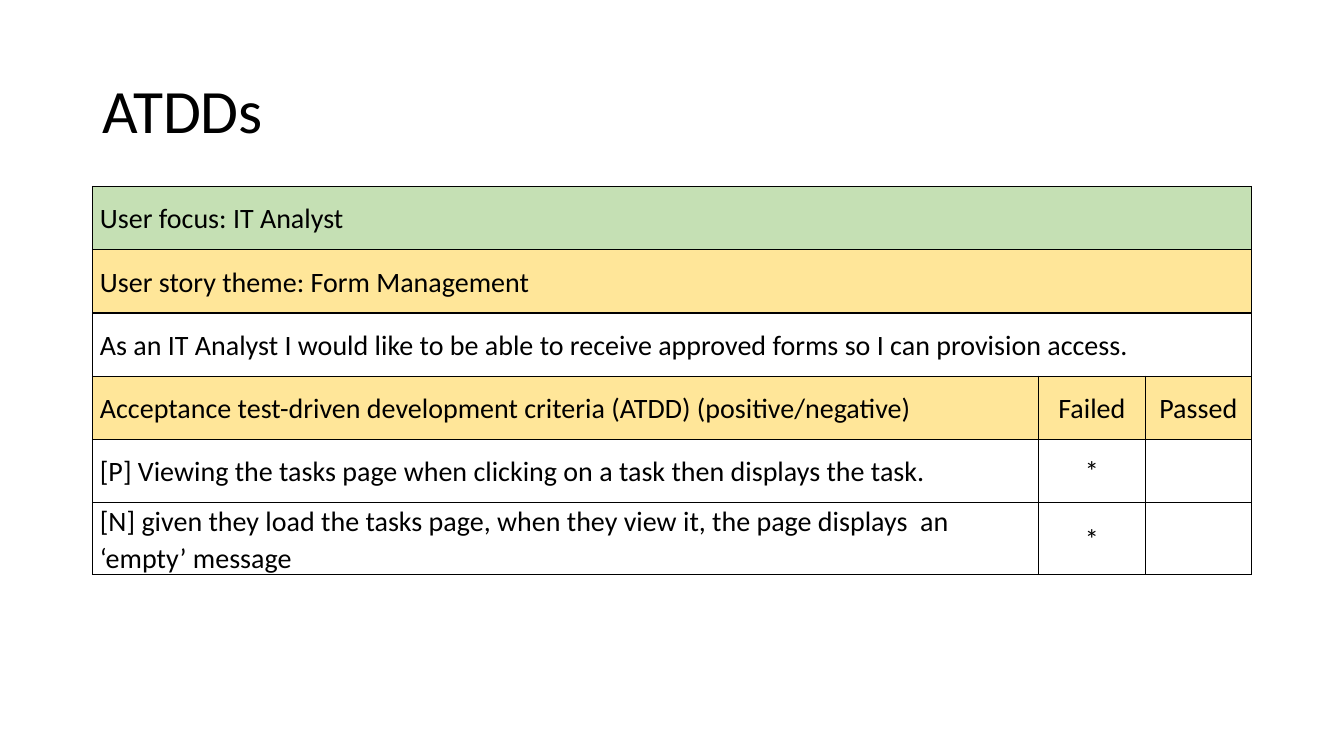
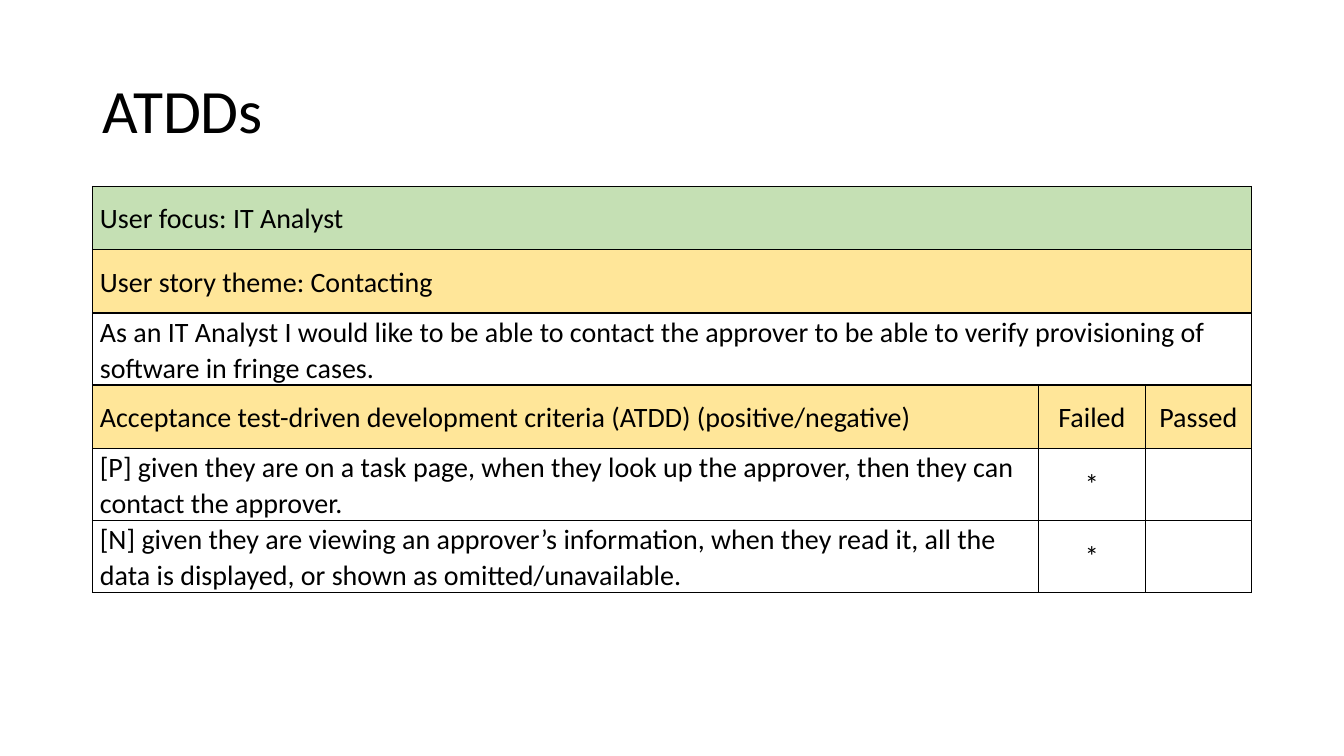
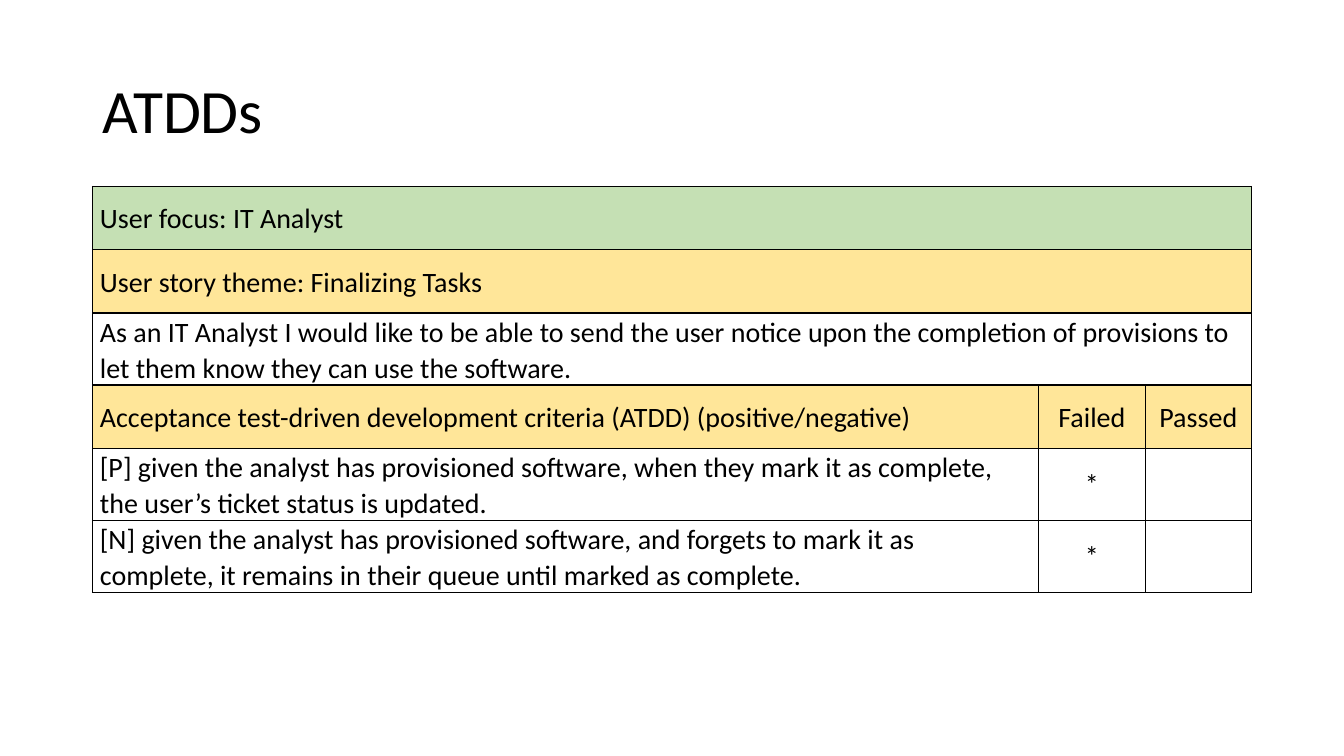
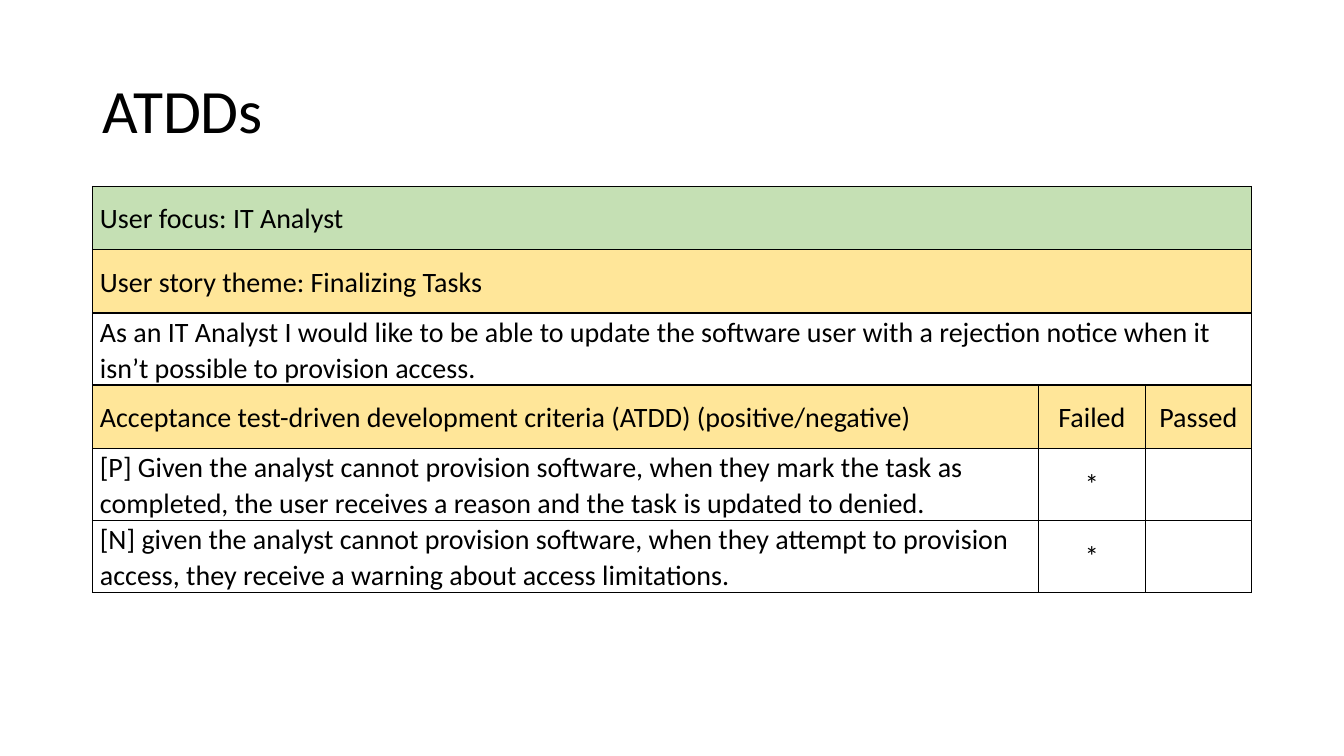
from pptx import Presentation
from pptx import util as u
from pptx.dml.color import RGBColor
from pptx.enum import text
from pptx.oxml import parse_xml
from pptx.oxml.ns import nsdecls

Pt = u.Pt

# Content: theme, story, positive test, negative test
TITLE = "ATDDs"
USER = "IT Analyst"
HEADINGS = (
    "Acceptance test-driven development criteria (ATDD) (positive/negative)",
    "Failed",
    "Passed",
)
STORIES = [
    (
        "Form Management",
        "As an IT Analyst I would like to be able to receive approved forms so I can provision access.",
        "[P] Viewing the tasks page when clicking on a task then displays the task.",
        "[N] given they load the tasks page, when they view it, the page displays  an ‘empty’ message",
    ),
    (
        "Contacting",
        "As an IT Analyst I would like to be able to contact the approver to be able to verify "
        "provisioning of software in fringe cases.",
        "[P] given they are on a task page, when they look up the approver, then they can contact the approver.",
        "[N] given they are viewing an approver’s information, when they read it, all the data is "
        "displayed, or shown as omitted/unavailable.",
    ),
    (
        "Finalizing Tasks",
        "As an IT Analyst I would like to be able to send the user notice upon the completion of "
        "provisions to let them know they can use the software.",
        "[P] given the analyst has provisioned software, when they mark it as complete, the user’s "
        "ticket status is updated.",
        "[N] given the analyst has provisioned software, and forgets to mark it as complete, it "
        "remains in their queue until marked as complete.",
    ),
    (
        "Finalizing Tasks",
        "As an IT Analyst I would like to be able to update the software user with a rejection "
        "notice when it isn’t possible to provision access.",
        "[P] Given the analyst cannot provision software, when they mark the task as completed, "
        "the user receives a reason and the task is updated to denied.",
        "[N] given the analyst cannot provision software, when they attempt to provision access, "
        "they receive a warning about access limitations.",
    ),
]

# Shared style
BLACK = RGBColor(0x00, 0x00, 0x00)
GREEN = RGBColor(0xC5, 0xE0, 0xB4)
YELLOW = RGBColor(0xFF, 0xE6, 0x99)
ROW_FILLS = (GREEN, YELLOW, None, YELLOW, None, None)

LEFT, WIDTH = 66, 828
TITLE_TOP, TITLE_HEIGHT = 28.75, 104.4
TABLE_TOP, ROW_HEIGHT = 133.2, 45.2
COLUMN_WIDTHS = (676, 76, 76)

TITLE_FONT = {"name": "Calibri", "size": Pt(44)}
CELL_FONT = {"name": "Calibri", "size": Pt(20)}
TITLE_FRAME = {
    "word_wrap": True,
    "vertical_anchor": text.MSO_ANCHOR.MIDDLE,
    "margin_left": Pt(7.2), "margin_right": Pt(7.2),
    "margin_top": Pt(3.6), "margin_bottom": Pt(3.6),
}
CELL_FRAME = {
    "vertical_anchor": text.MSO_ANCHOR.MIDDLE,
    "margin_left": Pt(5.4), "margin_right": Pt(5.4),
    "margin_top": 0, "margin_bottom": 0,
}
TABLE_FLAGS = {"first_row": False, "horz_banding": False}


def set_all(target, values):
    for name, value in values.items():
        setattr(target, name, value)


def write(paragraph, words, font, spacing, alignment):
    paragraph.line_spacing = spacing
    paragraph.alignment = alignment
    if words:
        run = paragraph.add_run()
        run.text = words
        set_all(run.font, font)
        run.font.color.rgb = BLACK


def add_borders(cell):
    properties = cell._tc.get_or_add_tcPr()
    for side in ("lnL", "lnR", "lnT", "lnB"):
        properties.append(parse_xml(
            f'<a:{side} {nsdecls("a")} w="{Pt(1)}"><a:solidFill>'
            f'<a:srgbClr val="{BLACK}"/></a:solidFill></a:{side}>'))


def add_title(slide):
    box = slide.shapes.add_textbox(Pt(LEFT), Pt(TITLE_TOP), Pt(WIDTH), Pt(TITLE_HEIGHT))
    set_all(box.text_frame, TITLE_FRAME)
    write(box.text_frame.paragraphs[0], TITLE, TITLE_FONT, 0.9, text.PP_ALIGN.LEFT)


def add_story_table(slide, theme, story, *tests):
    rows = [
        (f"User focus: {USER}",),
        (f"User story theme: {theme}",),
        (story,),
        HEADINGS,
        *((test, "*", "") for test in tests),
    ]
    table = slide.shapes.add_table(
        len(rows), len(COLUMN_WIDTHS), Pt(LEFT), Pt(TABLE_TOP),
        Pt(WIDTH), Pt(ROW_HEIGHT * len(rows))).table
    set_all(table, TABLE_FLAGS)
    for column, width in zip(table.columns, COLUMN_WIDTHS):
        column.width = Pt(width)

    for row_index, (words, fill) in enumerate(zip(rows, ROW_FILLS)):
        table.rows[row_index].height = Pt(ROW_HEIGHT)
        cells = list(table.rows[row_index].cells)
        # Borders and fill
        for cell in cells:
            set_all(cell, CELL_FRAME)
            add_borders(cell)
            if fill is None:
                cell.fill.background()
            else:
                cell.fill.solid()
                cell.fill.fore_color.rgb = fill
        # A single text spans the whole row
        if len(words) == 1:
            cells[0].merge(cells[-1])
        for column_index, (cell, label) in enumerate(zip(cells, words)):
            alignment = text.PP_ALIGN.CENTER if column_index else text.PP_ALIGN.LEFT
            write(cell.text_frame.paragraphs[0], label, CELL_FONT, 1.07, alignment)


def main():
    presentation = Presentation()
    presentation.slide_width, presentation.slide_height = Pt(960), Pt(540)
    for story in STORIES:
        slide = presentation.slides.add_slide(presentation.slide_layouts[6])
        add_title(slide)
        add_story_table(slide, *story)
    presentation.save("out.pptx")


if __name__ == "__main__":
    main()
